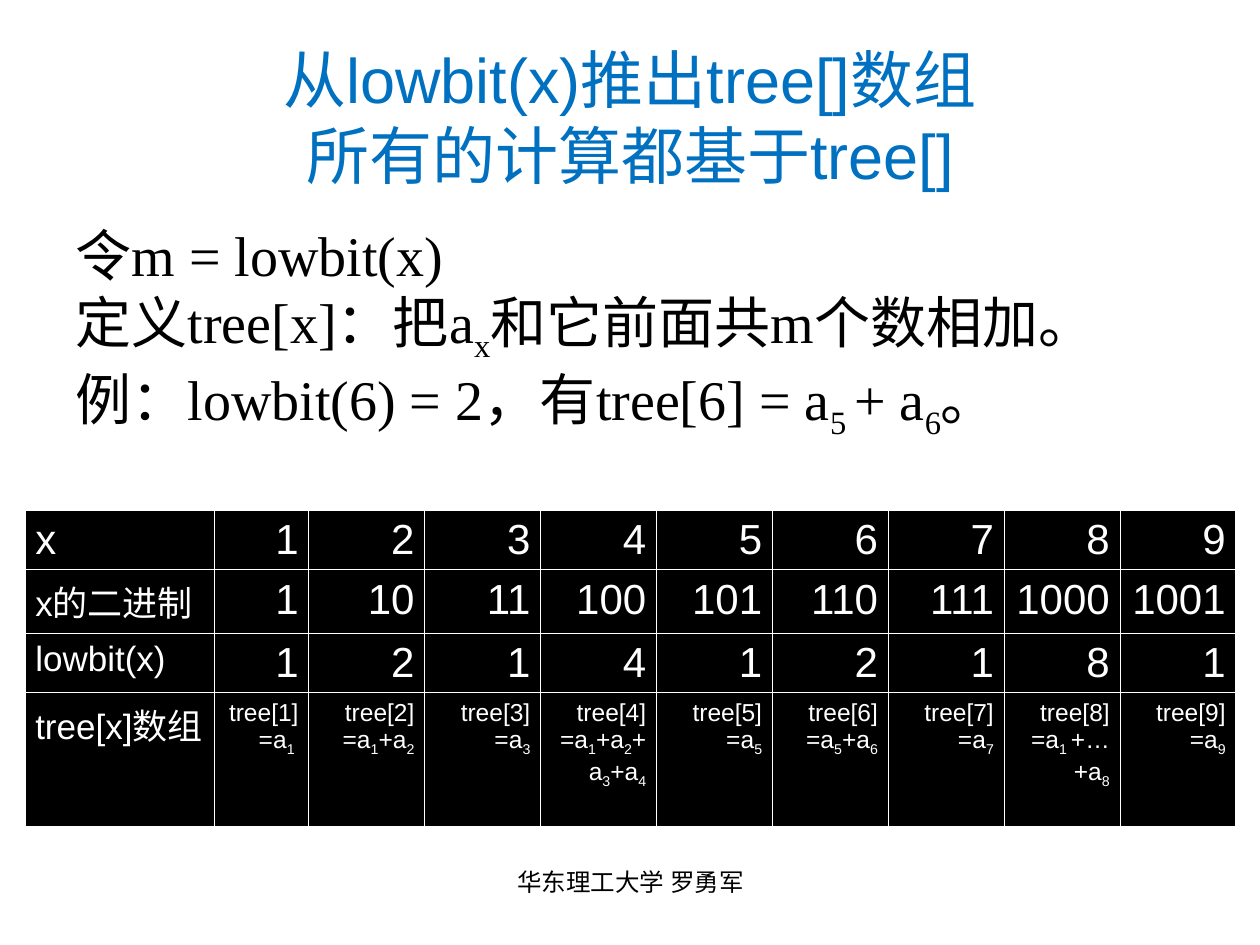
from lxml import etree
from pptx import Presentation
from pptx.dml.color import RGBColor
from pptx.enum.text import MSO_ANCHOR, MSO_AUTO_SIZE, PP_ALIGN
from pptx.oxml.ns import qn
from pptx.util import Inches, Pt

CENTER, RIGHT, JUSTIFY = PP_ALIGN.CENTER, PP_ALIGN.RIGHT, PP_ALIGN.JUSTIFY
MIDDLE = MSO_ANCHOR.MIDDLE
FIT_SHAPE = MSO_AUTO_SIZE.SHAPE_TO_FIT_TEXT
COLORS = {"title": "0070C0", "text": "000000", "cell": "000000",
          "cell_text": "FFFFFF", "border": "FFFFFF"}


def write_lines(frame, lines, size, font, color, align):
    """Write one paragraph per line; text between bars is subscript."""
    for number, line in enumerate(lines):
        para = frame.paragraphs[0] if number == 0 else frame.add_paragraph()
        para.alignment = align
        para.space_before = Pt(0)
        for index, text in enumerate(line.split("|")):
            if not text:
                continue
            span = para.add_run()
            span.text = text
            span.font.size = Pt(size)
            span.font.name = font
            span.font.color.rgb = RGBColor.from_string(COLORS[color])
            if index % 2:
                span.font._element.set("baseline", "-25000")


def style_cell(cell):
    cell.margin_left = cell.margin_right = Inches(0.08)
    cell.margin_top = cell.margin_bottom = Inches(0.05)
    cell.fill.solid()
    cell.fill.fore_color.rgb = RGBColor.from_string(COLORS["cell"])
    properties = cell._tc.get_or_add_tcPr()
    for position, side in enumerate(("lnL", "lnR", "lnT", "lnB")):
        line = etree.Element(qn(f"a:{side}"), w=str(Pt(0.45)))
        fill = etree.SubElement(line, qn("a:solidFill"))
        etree.SubElement(fill, qn("a:srgbClr"), val=COLORS["border"])
        properties.insert(position, line)


deck = Presentation()
deck.slide_width, deck.slide_height = Inches(10), Inches(7.5)
page = deck.slides.add_slide(deck.slide_layouts[5])

# Title
title = page.shapes.title
title.left, title.top = Inches(0.5), Inches(0.3)
title.width, title.height = Inches(9), Inches(1.25)
title.text_frame.vertical_anchor = MIDDLE
write_lines(title.text_frame, ["从lowbit(x)推出tree[]数组", "所有的计算都基于tree[]"],
            36, "Arial", "title", CENTER)

# Table: label column, then one column for each x
rows = [
    ["x"] + [str(x) for x in range(1, 10)],
    ["x的二进制"] + [f"{x:b}" for x in range(1, 10)],
    ["lowbit(x)"] + [str(x & -x) for x in range(1, 10)],
    ["tree[x]数组", "tree[1]=a|1 |", "tree[2]\n=a|1|+a|2|", "tree[3]\n=a|3|",
     "tree[4]\n=a|1|+a|2|+a|3|+a|4|", "tree[5]\n=a|5|", "tree[6]\n=a|5|+a|6|",
     "tree[7]\n=a|7|", "tree[8]\n=a|1 |+…+a|8|", "tree[9]\n=a|9|"],
]
label_sizes = [24, 20, 20, 20]
value_sizes = [24, 24, 24, 14]
row_heights = [0.4, 0.4, 0.4, 1.06]
column_widths = [1.5, 0.75] + [0.92] * 8
table = page.shapes.add_table(len(rows), len(column_widths), Inches(0.2), Inches(4.05),
                              Inches(sum(column_widths)), Inches(sum(row_heights))).table
for column, width in zip(table.columns, column_widths):
    column.width = Inches(width)
for r, texts in enumerate(rows):
    table.rows[r].height = Inches(row_heights[r])
    for c, text in enumerate(texts):
        cell = table.cell(r, c)
        style_cell(cell)
        size, align = (value_sizes[r], RIGHT) if c else (label_sizes[r], JUSTIFY)
        write_lines(cell.text_frame, text.split("\n"), size, "Arial", "cell_text", align)

# Definition and example
definition = page.shapes.add_textbox(Inches(0.5), Inches(1.7), Inches(8.75), Inches(2.38))
definition.text_frame.word_wrap = True
definition.text_frame.auto_size = FIT_SHAPE
write_lines(definition.text_frame,
            ["令m = lowbit(x)",
             "定义tree[x]：把a|x|和它前面共m个数相加。",
             "例：lowbit(6) = 2，有tree[6] = a|5 |+ a|6|。"],
            32, "Times New Roman", "text", JUSTIFY)

# Footer
footer = page.shapes.add_textbox(Inches(3.42), Inches(6.83), Inches(3.17), Inches(0.52))
footer.text_frame.word_wrap = True
write_lines(footer.text_frame, ["华东理工大学 罗勇军"], 14, "Arial", "text", CENTER)

deck.save("out.pptx")
